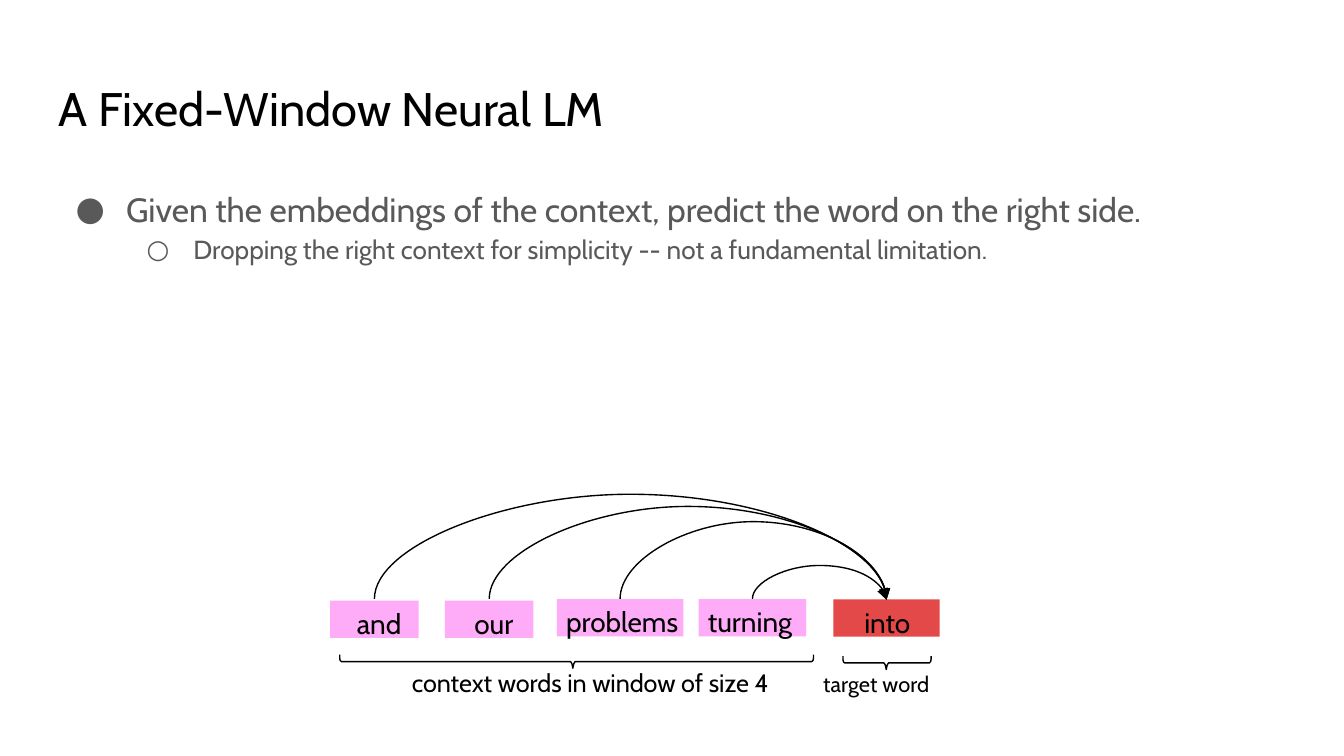
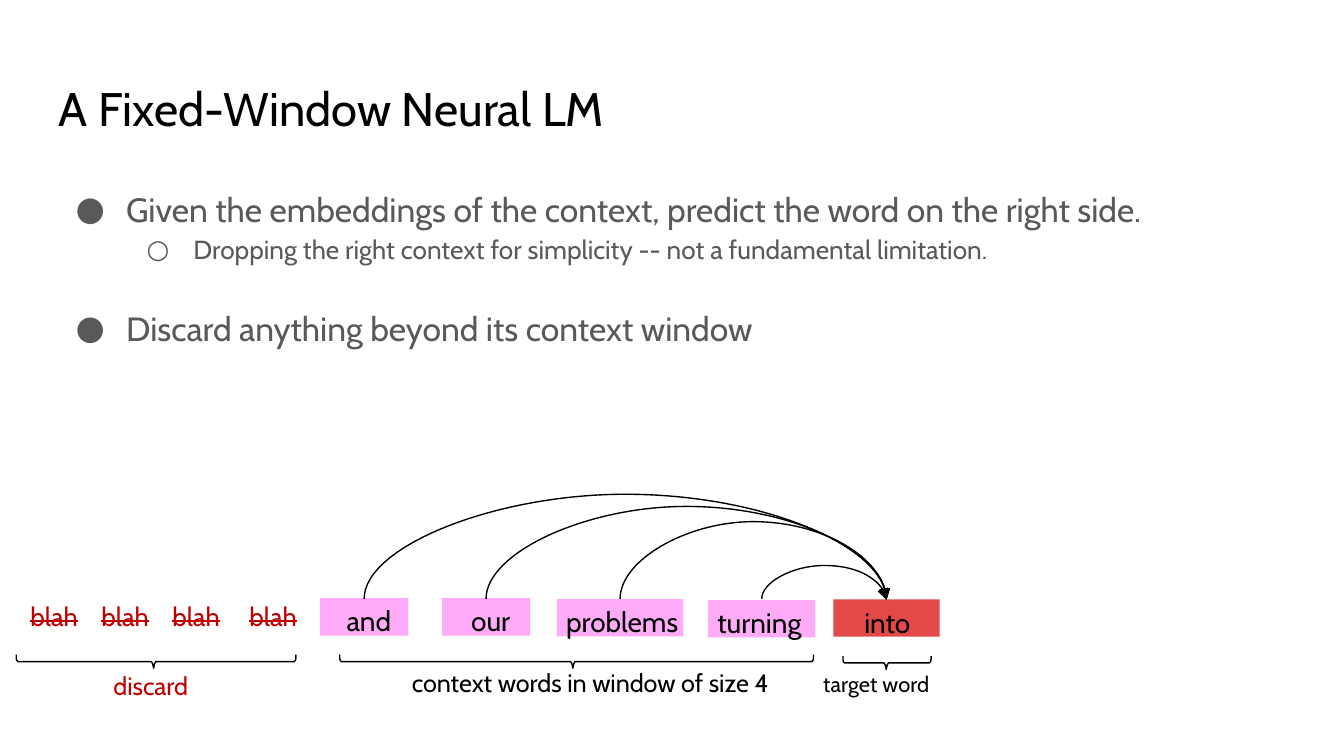
from lxml import etree
from pptx import Presentation
from pptx.dml.color import RGBColor
from pptx.enum.shapes import MSO_CONNECTOR, MSO_SHAPE
from pptx.enum.text import MSO_ANCHOR, PP_ALIGN
from pptx.oxml.ns import qn
from pptx.util import Pt

CURVE = MSO_CONNECTOR.CURVE
RECT = MSO_SHAPE.RECTANGLE
TOP = MSO_ANCHOR.TOP
LEFT, CENTER = PP_ALIGN.LEFT, PP_ALIGN.CENTER

FONT = "Cabin"
BLACK, GRAY, PINK, RED, DARK = "000000", "595959", "FFACF8", "E44949", "C00000"
TITLE = "A Fixed-Window Neural LM"
CONTEXT = [
    "Given the embeddings of the context, predict the word on the right side.",
    "Dropping the right context for simplicity -- not a fundamental limitation.",
]
LIMIT = "Discard anything beyond its context window"

WORD_H = 20
GOAL = (446.4, 321.1, 57)  # left, top, width
# word, width, indent, alignment, rise of its arc
WORDS = [
    ("and", 47.4, 5, CENTER, 55.4),
    ("our", 47.4, 5, CENTER, 49),
    ("problems", 67.8, 5, LEFT, 41),
    ("turning", 57.6, 5, LEFT, 18),
]
SPOTS_ONE = [(176.9, 321.8), (238.4, 321.8), (298.3, 321), (374.3, 321)]
SPOTS_TWO = [(171.4, 320.5), (236.7, 320.5), (298.3, 321), (379.3, 321.5)]


def color(code):
    return RGBColor.from_string(code)


def add_xml(parent, tag, **attrs):
    return etree.SubElement(parent, qn(tag), attrs)


def set_frame(frame, sides, top):
    frame.word_wrap = True
    frame.vertical_anchor = TOP
    frame.margin_left = frame.margin_right = Pt(sides)
    frame.margin_top, frame.margin_bottom = Pt(top), Pt(sides)


def add_box(slide, left, top, width, height, sides=0, inset=3):
    box = slide.shapes.add_textbox(Pt(left), Pt(top), Pt(width), Pt(height))
    set_frame(box.text_frame, sides, inset)
    return box.text_frame


def add_run(para, text, size, code=BLACK):
    run = para.add_run()
    run.text = text
    run.font.size = Pt(size)
    run.font.name = FONT
    run.font.color.rgb = color(code)
    return run


def set_tabs(para, stops):
    tabs = add_xml(para._p.get_or_add_pPr(), "a:tabLst")
    for stop in stops:
        add_xml(tabs, "a:tab", pos=str(Pt(stop)), algn="l")


def add_point(para, text, level=0):
    mark, size, indent, hang = [("●", 18, 36, 27), ("○", 14, 72, 25)][level]
    para.level = level
    para.line_spacing = 1.15
    props = para._p.get_or_add_pPr()
    props.set("marL", str(Pt(indent)))
    props.set("indent", str(-Pt(hang)))
    tint = add_xml(props, "a:buClr")
    add_xml(tint, "a:srgbClr", val=GRAY)
    add_xml(props, "a:buFont", typeface=FONT)
    add_xml(props, "a:buChar", char=mark)
    add_run(para, text, size, GRAY)


def add_word(slide, text, spot, width, indent, align, fill):
    left, top = spot
    box = slide.shapes.add_shape(RECT, Pt(left), Pt(top), Pt(width), Pt(WORD_H))
    box.shadow.inherit = False
    box.fill.solid()
    box.fill.fore_color.rgb = color(fill)
    box.line.fill.background()
    set_frame(box.text_frame, 0, 3.1)
    para = box.text_frame.paragraphs[0]
    para.alignment = align
    para._p.get_or_add_pPr().set("marL", str(Pt(indent)))
    add_run(para, text, 15)


def set_line(shape):
    shape.line.color.rgb = color(BLACK)
    shape.line.width = Pt(0.75)


def add_arc(slide, start, end, base, rise):
    """Arc over the words: a thin upright curve, turned a quarter to the left."""
    thin, half = 0.5, (start - end) / 2
    mid = (start + end) / 2
    arc = slide.shapes.add_connector(
        CURVE, Pt(mid - thin / 2), Pt(base + half), Pt(mid + thin / 2), Pt(base - half))
    set_line(arc)
    props = arc._element.spPr
    props.find(qn("a:xfrm")).set("rot", str(270 * 60000))
    geom = props.find(qn("a:prstGeom"))
    guides = geom.find(qn("a:avLst"))
    if guides is None:
        guides = add_xml(geom, "a:avLst")
    add_xml(guides, "a:gd", name="adj1", fmla=f"val {round(rise / thin * 100000)}")
    add_xml(props.find(qn("a:ln")), "a:headEnd", type="triangle")
    add_xml(props, "a:effectLst")


def add_brace(slide, left, right, tip, top):
    def arm(end, sign):
        """Points from the outer end to the tip."""
        return [(end, top), (end, top + 1.8), (end + sign * 0.2, top + 3),
                (end + sign * 0.9, top + 3.7), (tip - sign * 1.2, top + 3.7),
                (tip - sign * 0.5, top + 4.8), (tip, top + 7.2)]

    dots = arm(right, -1) + arm(left, 1)[-2::-1]
    first, *rest = [(Pt(x), Pt(y)) for x, y in dots]
    path = slide.shapes.build_freeform(*first)
    path.add_line_segments(rest, close=False)
    brace = path.convert_to_shape()
    brace.shadow.inherit = False
    brace.fill.background()
    set_line(brace)


def add_label(slide, left, width):
    para = add_box(slide, left, 356.4, width, 18).paragraphs[0]
    para.line_spacing = Pt(15.8)
    return para


def add_text(slide, extra=None):
    """Title and bullet points."""
    title = add_box(slide, 24.5, 35.3, 671, 45.4, 7.2, 7.2)
    add_run(title.paragraphs[0], TITLE, 25.2)
    body = add_box(slide, 24.5, 90.7, 671, 269.3, 7.2, 7.2)
    for level, text in enumerate(CONTEXT):
        add_point(body.paragraphs[0] if level == 0 else body.add_paragraph(), text, level)
    if extra:
        para = body.add_paragraph()
        para.space_before = Pt(19.5)
        add_point(para, extra)


def add_window(slide, spots):
    """Context words with arcs to the target word, braces and labels."""
    left, base, width = GOAL
    add_word(slide, "into", (left, base), width, 16.6, LEFT, RED)
    for (text, wide, indent, align, rise), spot in zip(WORDS, spots):
        add_word(slide, text, spot, wide, indent, align, PINK)
        add_arc(slide, left + width / 2, spot[0] + wide / 2, base, rise)
    add_brace(slide, 182, 435.8, 306.9, 350.8)
    add_brace(slide, 451.6, 498.8, 474.8, 351.5)
    para = add_label(slide, 220.7, 373)
    set_tabs(para, [220.3])
    add_run(para, "context words in window of size 4\t", 13.5)
    goal = add_run(para, "target word", 20.2)
    goal.font._element.set("baseline", "2000")


def add_past(slide):
    """Struck-out words before the window."""
    add_brace(slide, 8.7, 158.5, 82.3, 350.8)
    add_run(add_label(slide, 60.8, 48.2), "discard", 13.5, DARK)
    para = add_box(slide, 9.2, 318.2, 164.2, 24.5, 7.2, 3.6).paragraphs[0]
    set_tabs(para, [38, 76, 117.3, 149])
    run = add_run(para, "blah\tblah\tblah\tblah\t", 14, DARK)
    run.font._element.set("strike", "sngStrike")


def main():
    deck = Presentation()
    deck.slide_width, deck.slide_height = Pt(720), Pt(405)
    blank = deck.slide_layouts[6]

    one = deck.slides.add_slide(blank)
    add_text(one)
    add_window(one, SPOTS_ONE)

    two = deck.slides.add_slide(blank)
    add_text(two, LIMIT)
    add_window(two, SPOTS_TWO)
    add_past(two)

    deck.save("out.pptx")


if __name__ == "__main__":
    main()
